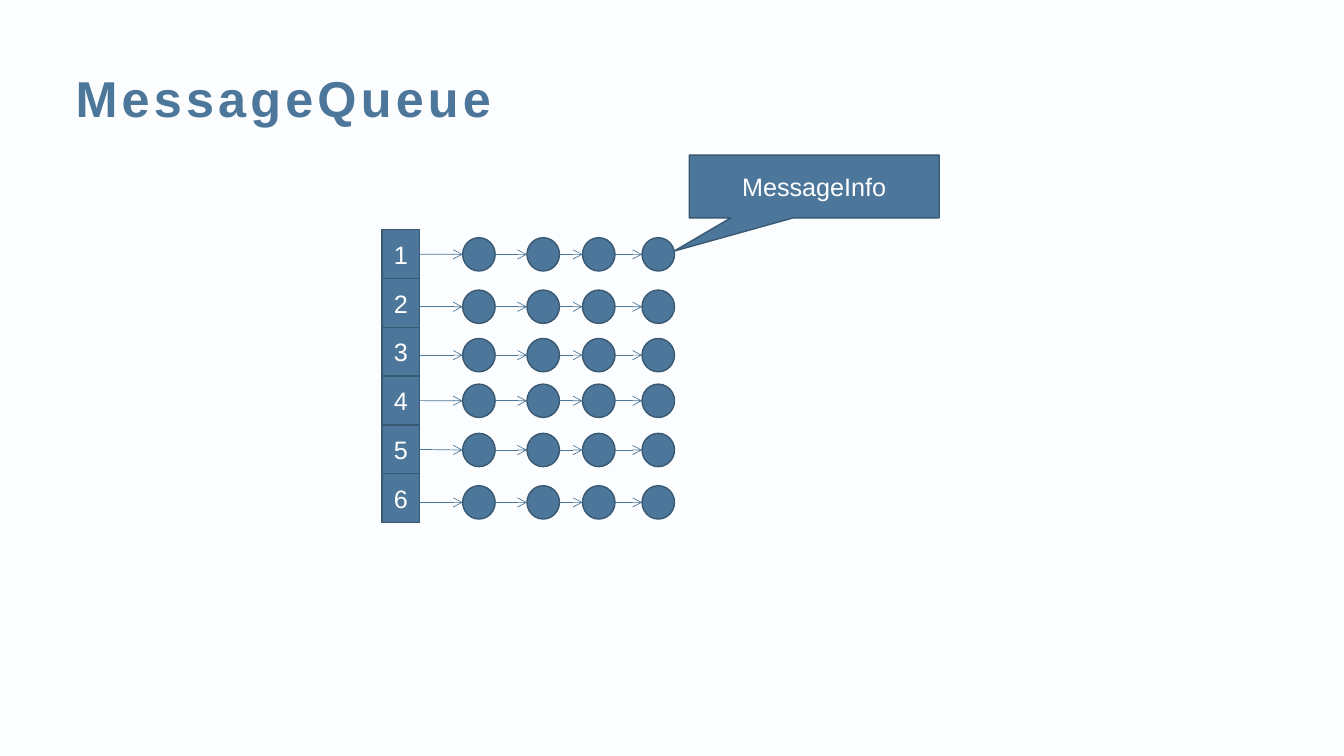
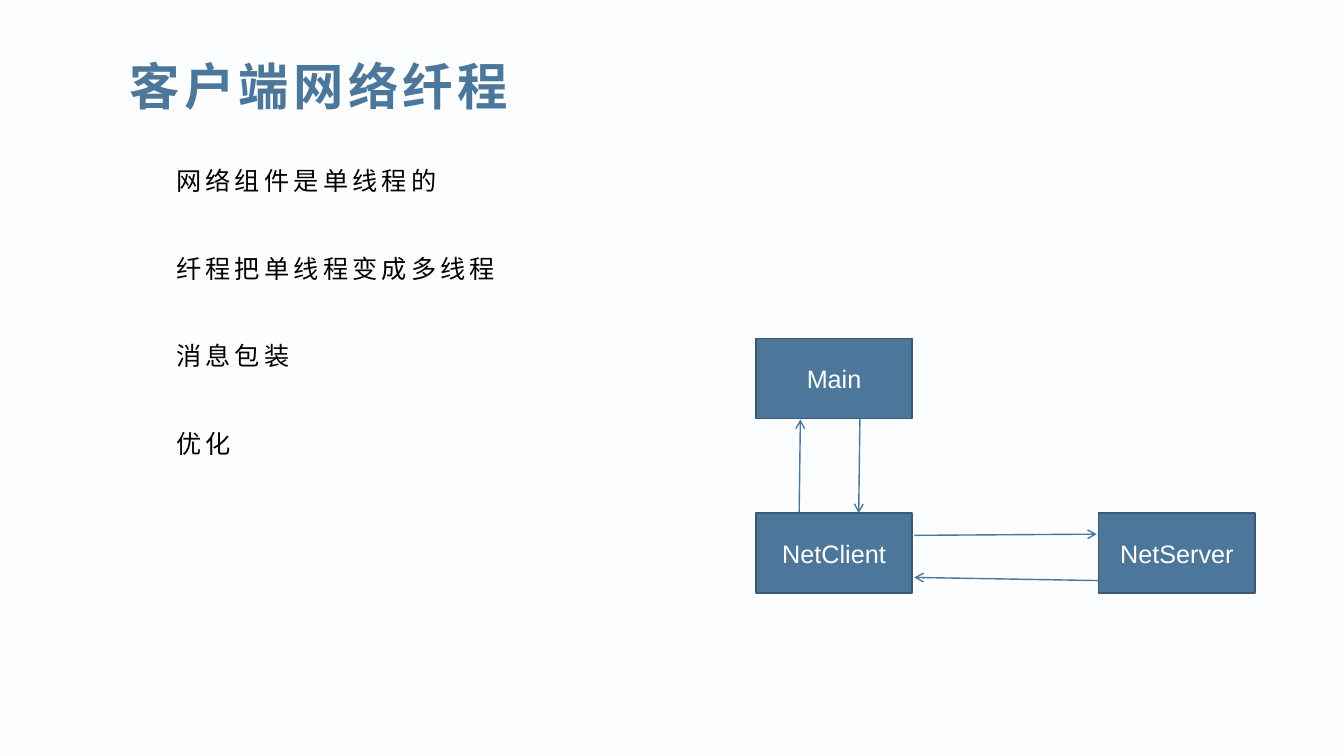
import pptx
import pptx.util
import pptx.dml.color
import pptx.enum.shapes
import pptx.enum.text
import pptx.oxml
import pptx.oxml.ns
from lxml import etree

Cm = pptx.util.Cm
Pt = pptx.util.Pt
RGBColor = pptx.dml.color.RGBColor
SHAPE = pptx.enum.shapes.MSO_SHAPE
ALIGN = pptx.enum.text.PP_ALIGN
ANCHOR = pptx.enum.text.MSO_ANCHOR

BACKGROUND = RGBColor(0xFB, 0xFD, 0xFE)
BLUE = RGBColor(0x4D, 0x77, 0x9A)
QUEUE_EDGE = RGBColor(0x39, 0x58, 0x72)
NET_EDGE = RGBColor(0x3A, 0x59, 0x74)
WHITE = RGBColor(0xFF, 0xFF, 0xFF)
BLACK = RGBColor(0, 0, 0)
FONT = "Arial"
RIGHT_SIDE = 3

QUEUE_NUMBERS = ["1", "2", "3", "4", "5", "6"]
QUEUE_MIDDLES = [6.41, 7.73, 8.95, 10.1, 11.34, 12.66]
NODE_LEFTS = [11.66, 13.28, 14.68, 16.18]
NODE_WIDTH, NODE_HEIGHT = 0.82, 0.84
CELL_LEFT, CELL_TOP, CELL_WIDTH, CELL_HEIGHT = 9.63, 5.79, 0.94, 1.23

POINTS = ["网络组件是单线程的", "纤程把单线程变成多线程", "消息包装", "优化"]
NET_BOXES = [("NetClient", 19.05, 12.93), ("Main", 19.05, 8.53), ("NetServer", 27.69, 12.93)]
NET_WIDTH, NET_HEIGHT = 3.94, 2.01
NET_ARROWS = [
    (21.67, 10.57, 21.64, 12.93),
    (23.04, 13.49, 27.64, 13.46),
    (27.71, 14.63, 23.04, 14.55),
    (20.14, 12.9, 20.17, 10.57),
]


def add_run(para, text, size, color, bold=False, spacing=0):
    span = para.add_run()
    span.text = text
    span.font.name = FONT
    span.font.size = Pt(size)
    span.font.bold = bold
    span.font.color.rgb = color
    if spacing:
        span.font._element.set("spc", str(spacing * 100))


def add_page(deck, title, left, top, width, height):
    page = deck.slides.add_slide(deck.slide_layouts.get_by_name("Title Only"))
    box = page.shapes.title
    box.left, box.top, box.width, box.height = Cm(left), Cm(top), Cm(width), Cm(height)
    frame = box.text_frame
    frame.auto_size = pptx.enum.text.MSO_AUTO_SIZE.NONE
    frame.vertical_anchor = ANCHOR.MIDDLE
    para = frame.paragraphs[0]
    para.alignment = ALIGN.LEFT
    add_run(para, title, 36, BLUE, bold=True, spacing=3)
    return page


def add_box(page, kind, left, top, width, height, edge, text=""):
    box = page.shapes.add_shape(kind, Cm(left), Cm(top), Cm(width), Cm(height))
    box.shadow.inherit = False
    box.fill.solid()
    box.fill.fore_color.rgb = BLUE
    box.line.color.rgb = edge
    box.line.width = Pt(1)
    if text:
        box.text_frame.vertical_anchor = ANCHOR.MIDDLE
        para = box.text_frame.paragraphs[0]
        para.alignment = ALIGN.CENTER
        add_run(para, text, 18, WHITE)
    return box


def add_arrow(page, start_x, start_y, end_x, end_y, weight):
    arrow = page.shapes.add_connector(
        pptx.enum.shapes.MSO_CONNECTOR.STRAIGHT, Cm(start_x), Cm(start_y), Cm(end_x), Cm(end_y))
    arrow.line.color.rgb = BLUE
    arrow.line.width = Pt(weight)
    properties = arrow._element.spPr
    outline = properties.find(pptx.oxml.ns.qn("a:ln"))
    etree.SubElement(outline, pptx.oxml.ns.qn("a:tailEnd"), type="arrow")
    etree.SubElement(properties, pptx.oxml.ns.qn("a:effectLst"))
    return arrow


def add_queue_page(deck):
    page = add_page(deck, "MessageQueue", 1.65, 1.47, 31.19, 1.96)
    for index, (number, middle) in enumerate(zip(QUEUE_NUMBERS, QUEUE_MIDDLES)):
        cell_top = CELL_TOP + index * CELL_HEIGHT
        cell = add_box(page, SHAPE.RECTANGLE, CELL_LEFT, cell_top, CELL_WIDTH, CELL_HEIGHT,
                       QUEUE_EDGE, number)
        start = CELL_LEFT + CELL_WIDTH
        for left in NODE_LEFTS:
            add_box(page, SHAPE.OVAL, left, middle - NODE_HEIGHT / 2, NODE_WIDTH, NODE_HEIGHT,
                    QUEUE_EDGE)
            arrow = add_arrow(page, start, middle, left, middle, 0.5)
            if left == NODE_LEFTS[0] and abs(cell_top + CELL_HEIGHT / 2 - middle) < 0.05:
                arrow.begin_connect(cell, RIGHT_SIDE)
            start = left + NODE_WIDTH
    callout = add_box(page, SHAPE.RECTANGULAR_CALLOUT, 17.37, 3.91, 6.3, 1.58, QUEUE_EDGE,
                      "MessageInfo")
    callout.adjustments[0] = -0.56
    callout.adjustments[1] = 1.03


def add_network_page(deck):
    page = add_page(deck, "客户端网络纤程", 3.02, 1.24, 13.28, 1.8)
    body = page.shapes.add_textbox(Cm(4.19), Cm(4.04), Cm(23.27), Cm(11.66)).text_frame
    body.word_wrap = True
    for index, point in enumerate(POINTS):
        para = body.add_paragraph() if index else body.paragraphs[0]
        para.space_before = Pt(41 if index else 0)
        add_run(para, point, 18, BLACK, spacing=3)
    for name, left, top in NET_BOXES:
        add_box(page, SHAPE.RECTANGLE, left, top, NET_WIDTH, NET_HEIGHT, NET_EDGE, name)
    for ends in NET_ARROWS:
        add_arrow(page, *ends, 1)


def main():
    deck = pptx.Presentation()
    deck.slide_width, deck.slide_height = Cm(33.87), Cm(19.05)
    backdrop = deck.slide_master.background.fill
    backdrop.solid()
    backdrop.fore_color.rgb = BACKGROUND
    add_queue_page(deck)
    add_network_page(deck)
    deck.save("out.pptx")


if __name__ == "__main__":
    main()
